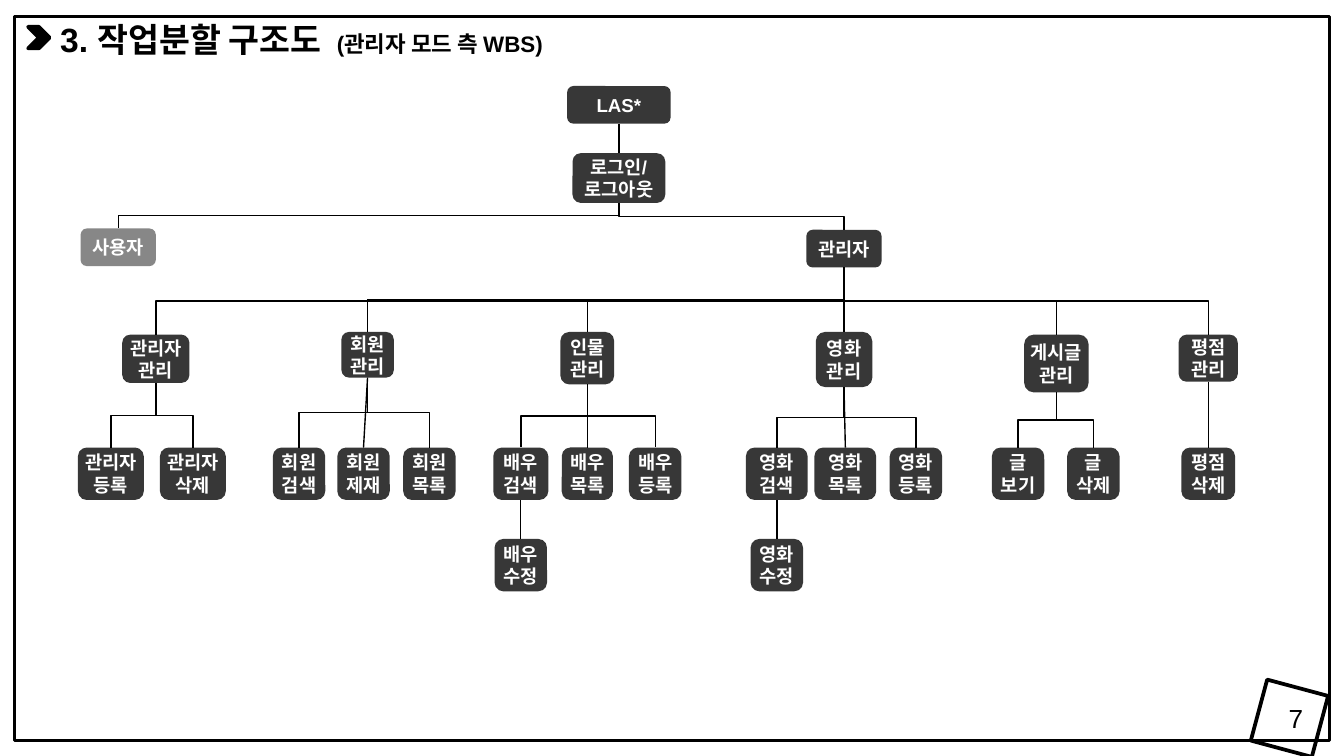
from pptx import Presentation
from pptx.dml.color import RGBColor
from pptx.enum.shapes import MSO_CONNECTOR as Line, MSO_SHAPE as Shape
from pptx.enum.text import MSO_ANCHOR as Anchor, MSO_AUTO_SIZE as AutoSize, PP_ALIGN as Align
from pptx.oxml.ns import qn
from pptx.util import Inches, Pt
from lxml.etree import SubElement

BLACK = RGBColor(0x00, 0x00, 0x00)
WHITE = RGBColor(0xFF, 0xFF, 0xFF)
CHARCOAL = RGBColor(0x37, 0x37, 0x37)
FONT = "Arial"

TITLE = [("3. 작업분할 구조도  ", 18), ("(관리자 모드 측 WBS)", 12)]
PAGE_NUMBER = "7"
LEAF_TOP, DETAIL_TOP = 3.33, 4.01
LEAF_HEIGHT = 0.39
FADED = {"user": 60}

# key: (parent, text, left, top, width, height)
UPPER_NODES = {
    "root": (None, "LAS*", 4.22, 0.64, 0.77, 0.28),
    "login": ("root", "로그인/\n로그아웃", 4.26, 1.14, 0.69, 0.37),
    "user": ("login", "사용자", 0.6, 1.7, 0.56, 0.28),
    "admin": ("login", "관리자", 6, 1.71, 0.56, 0.28),
    "admins": ("admin", "관리자\n관리", 0.91, 2.49, 0.5, 0.36),
    "members": ("admin", "회원\n관리", 2.54, 2.47, 0.39, 0.34),
    "people": ("admin", "인물\n관리", 4.17, 2.47, 0.4, 0.39),
    "movies": ("admin", "영화\n관리", 6.07, 2.47, 0.42, 0.41),
    "posts": ("admin", "게시글\n관리", 7.62, 2.49, 0.48, 0.43),
    "ratings": ("admin", "평점\n관리", 8.77, 2.49, 0.44, 0.35),
}

# parent: [(subject, action, left, width, detail action)]
LEAVES = {
    "admins": [("관리자", "등록", 0.58, 0.49, None), ("관리자", "삭제", 1.19, 0.49, None)],
    "members": [("회원", "검색", 2.03, 0.39, None), ("회원", "제재", 2.51, 0.39, None),
                ("회원", "목록", 3, 0.39, None)],
    "people": [("배우", "검색", 3.67, 0.41, "수정"), ("배우", "목록", 4.18, 0.38, None),
               ("배우", "등록", 4.68, 0.39, None)],
    "movies": [("영화", "검색", 5.55, 0.46, "수정"), ("영화", "목록", 6.06, 0.46, None),
               ("영화", "등록", 6.62, 0.39, None)],
    "posts": [("글", "보기", 7.38, 0.39, None), ("글", "삭제", 7.94, 0.39, None)],
    "ratings": [("평점", "삭제", 8.79, 0.4, None)],
}


def all_nodes():
    nodes = dict(UPPER_NODES)
    for parent, leaves in LEAVES.items():
        for subject, action, left, width, detail in leaves:
            key = (parent, action)
            nodes[key] = (parent, f"{subject}\n{action}", left, LEAF_TOP, width, LEAF_HEIGHT)
            if detail:
                detail_left = left + (width - LEAF_HEIGHT) / 2
                nodes[key, detail] = (key, f"{subject}\n{detail}", detail_left, DETAIL_TOP,
                                      LEAF_HEIGHT, LEAF_HEIGHT)
    return nodes


def style(font, size, color, bold):
    font.name, font.size, font.bold = FONT, Pt(size), bold
    font.color.rgb = color


def add_shape(page, kind, place, fill=None, line_width=None):
    shape = page.shapes.add_shape(kind, *map(Inches, place))
    shape.shadow.inherit = False
    if fill is None:
        shape.fill.background()
    else:
        shape.fill.solid()
        shape.fill.fore_color.rgb = fill
    if line_width is None:
        shape.line.fill.background()
    else:
        shape.line.color.rgb = BLACK
        shape.line.width = Pt(line_width)
    return shape


def add_text_box(page, place):
    frame = page.shapes.add_textbox(*map(Inches, place)).text_frame
    frame.word_wrap = True
    frame.auto_size = AutoSize.SHAPE_TO_FIT_TEXT
    return frame


def add_node(page, text, place, opacity):
    box = add_shape(page, Shape.ROUNDED_RECTANGLE, place, CHARCOAL)
    if opacity:
        color = box.fill._xPr.find(".//" + qn("a:srgbClr"))
        SubElement(color, qn("a:alpha"), val=str(opacity * 1000))
    frame = box.text_frame
    frame.margin_left = frame.margin_right = frame.margin_top = frame.margin_bottom = 0
    frame.vertical_anchor = Anchor.MIDDLE
    frame.word_wrap = True
    frame.text = text
    for para in frame.paragraphs:
        para.alignment = Align.CENTER
        style(para.font, 10, WHITE, True)


def add_branch(page, parent, child):
    x1, y1 = parent[0] + parent[2] / 2, parent[1] + parent[3]
    x2, y2 = child[0] + child[2] / 2, child[1]
    across, down = x2 - x1, y2 - y1
    if abs(across) < 0.1:
        branch = page.shapes.add_connector(Line.STRAIGHT, *map(Inches, (x1, y1, x2, y2)))
    else:
        middle_x, middle_y = (x1 + x2) / 2, (y1 + y2) / 2
        half_width = down / 2 if across < 0 else -down / 2
        half_height = abs(across) / 2
        ends = (middle_x - half_width, middle_y - half_height,
                middle_x + half_width, middle_y + half_height)
        branch = page.shapes.add_connector(Line.ELBOW, *map(Inches, ends))
        angle = 90 if across < 0 else 270
        branch._element.spPr.find(qn("a:xfrm")).set("rot", str(angle * 60000))
    branch.line.color.rgb = BLACK
    branch.line.width = Pt(0.75)
    SubElement(branch._element.spPr, qn("a:effectLst"))


def main():
    deck = Presentation()
    deck.slide_width, deck.slide_height = Inches(10), Inches(10 * 9 / 16)
    page = deck.slides.add_slide(deck.slide_layouts[6])

    add_shape(page, Shape.RECTANGLE, (0.11, 0.12, 9.78, 5.39), line_width=1.5)
    title = add_text_box(page, (0.35, 0.09, 5.13, 0.4)).paragraphs[0]
    for text, size in TITLE:
        span = title.add_run()
        span.text = text
        style(span.font, size, BLACK, True)
    add_shape(page, Shape.CHEVRON, (0.21, 0.2, 0.16, 0.16), BLACK, 2)

    nodes = all_nodes()
    for key, (_, text, *place) in nodes.items():
        add_node(page, text, place, FADED.get(key))
    for parent, _, *place in nodes.values():
        if parent:
            add_branch(page, nodes[parent][2:], place)

    add_shape(page, Shape.RECTANGLE, (9.36, 5.11, 0.47, 0.47), line_width=2).rotation = 15
    frame = add_text_box(page, (9.49, 5.17, 0.21, 0.34))
    frame.vertical_anchor = Anchor.MIDDLE
    number = frame.paragraphs[0]
    number.text = PAGE_NUMBER
    number.alignment = Align.CENTER
    style(number.font, 14, BLACK, False)

    deck.save("out.pptx")


if __name__ == "__main__":
    main()
